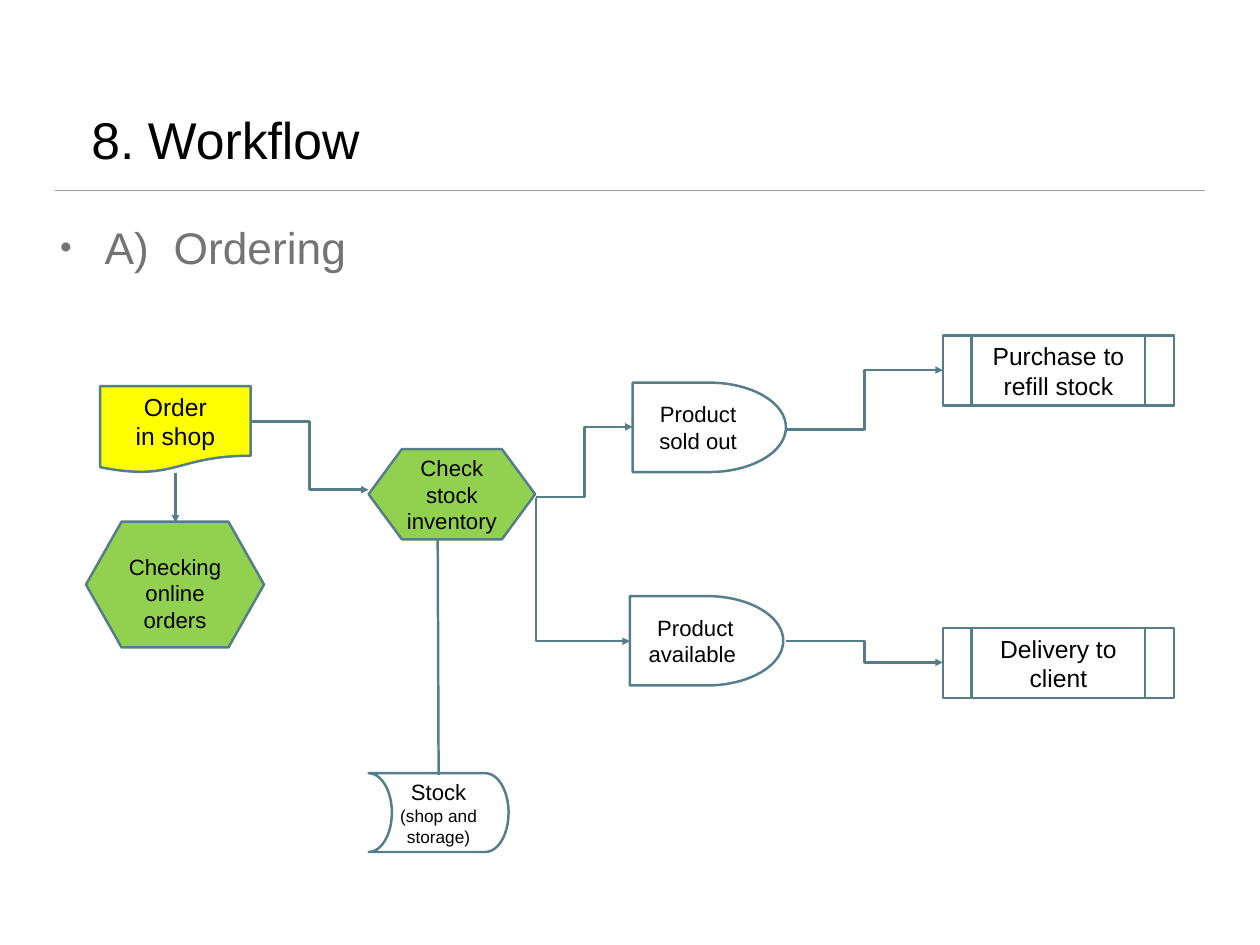
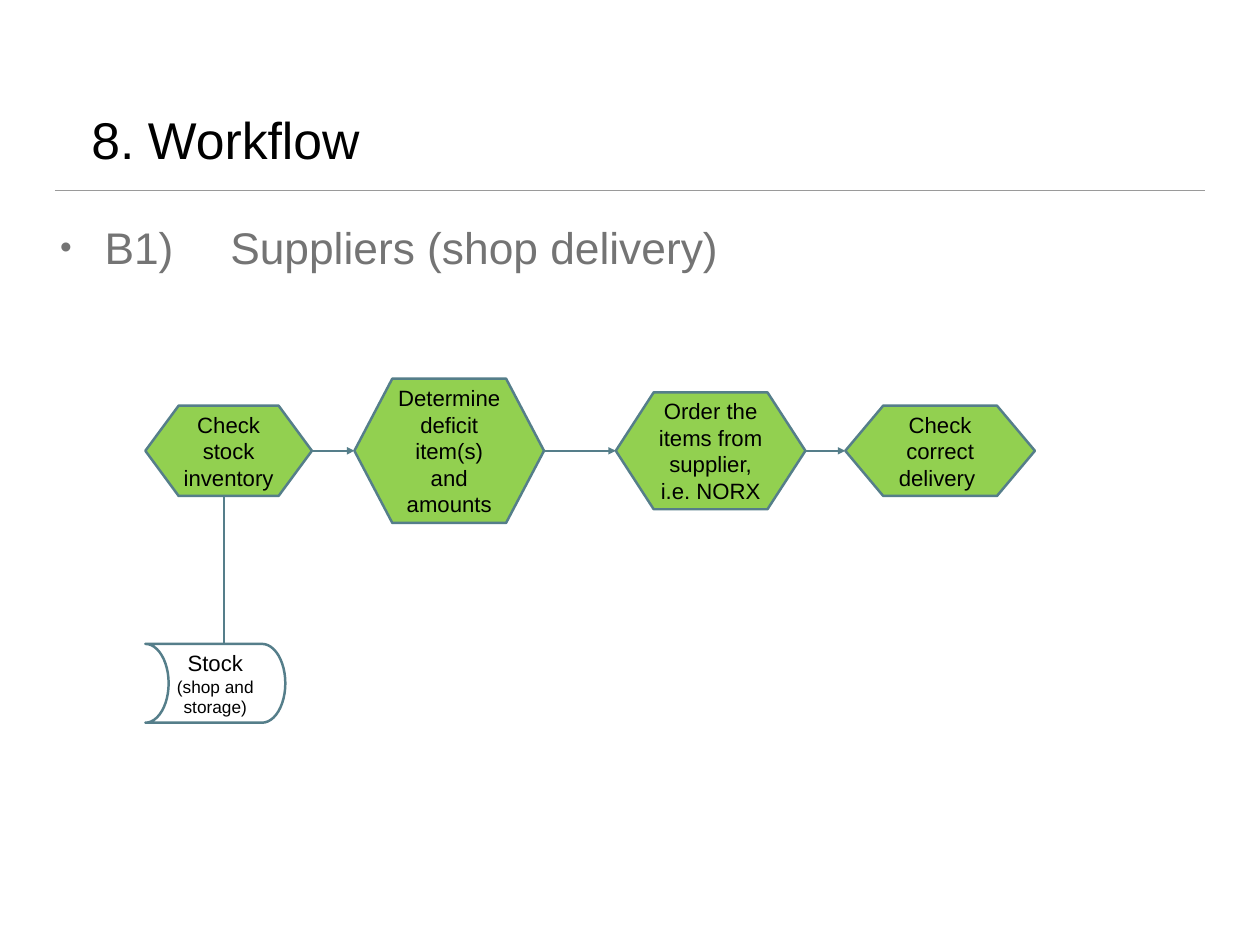
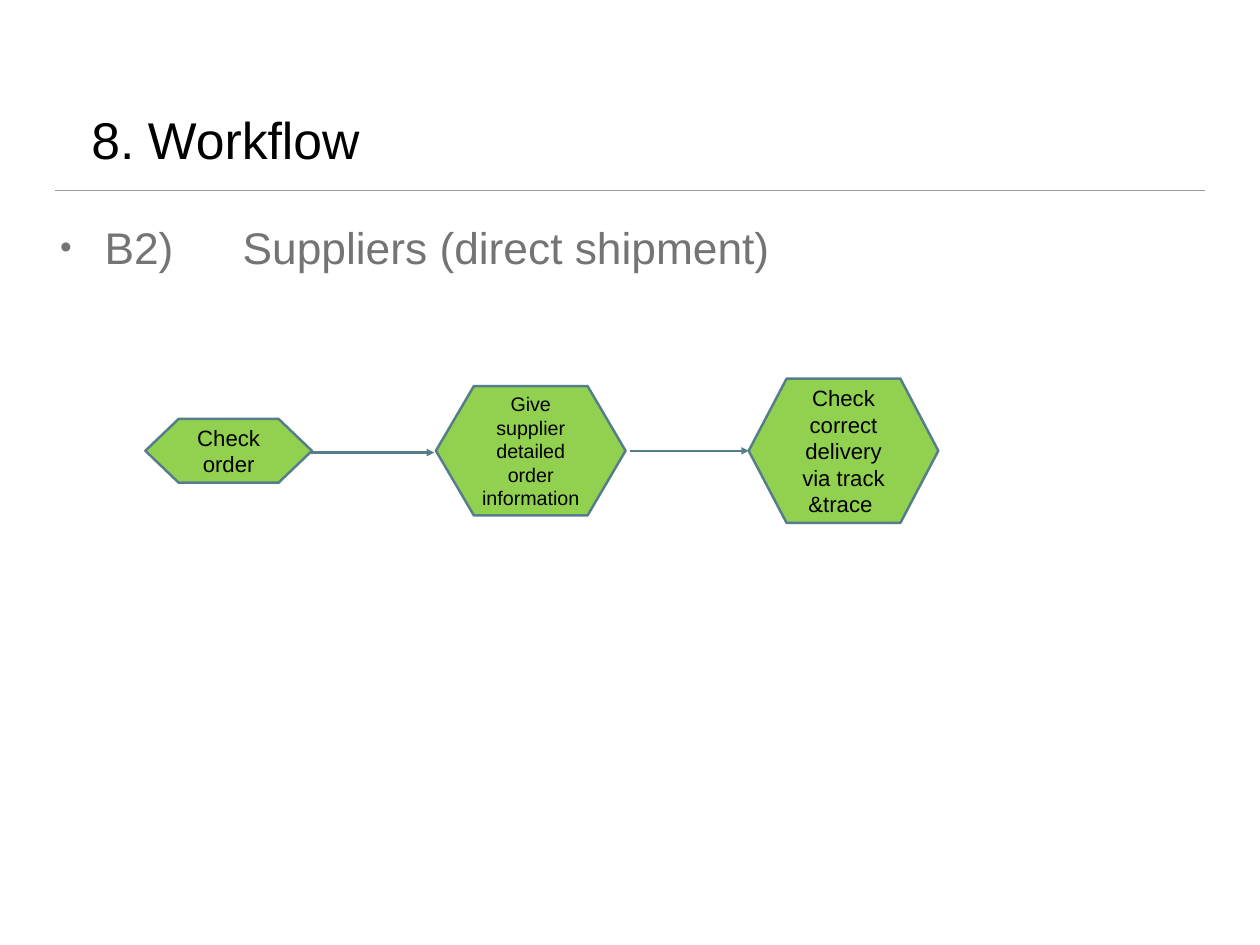
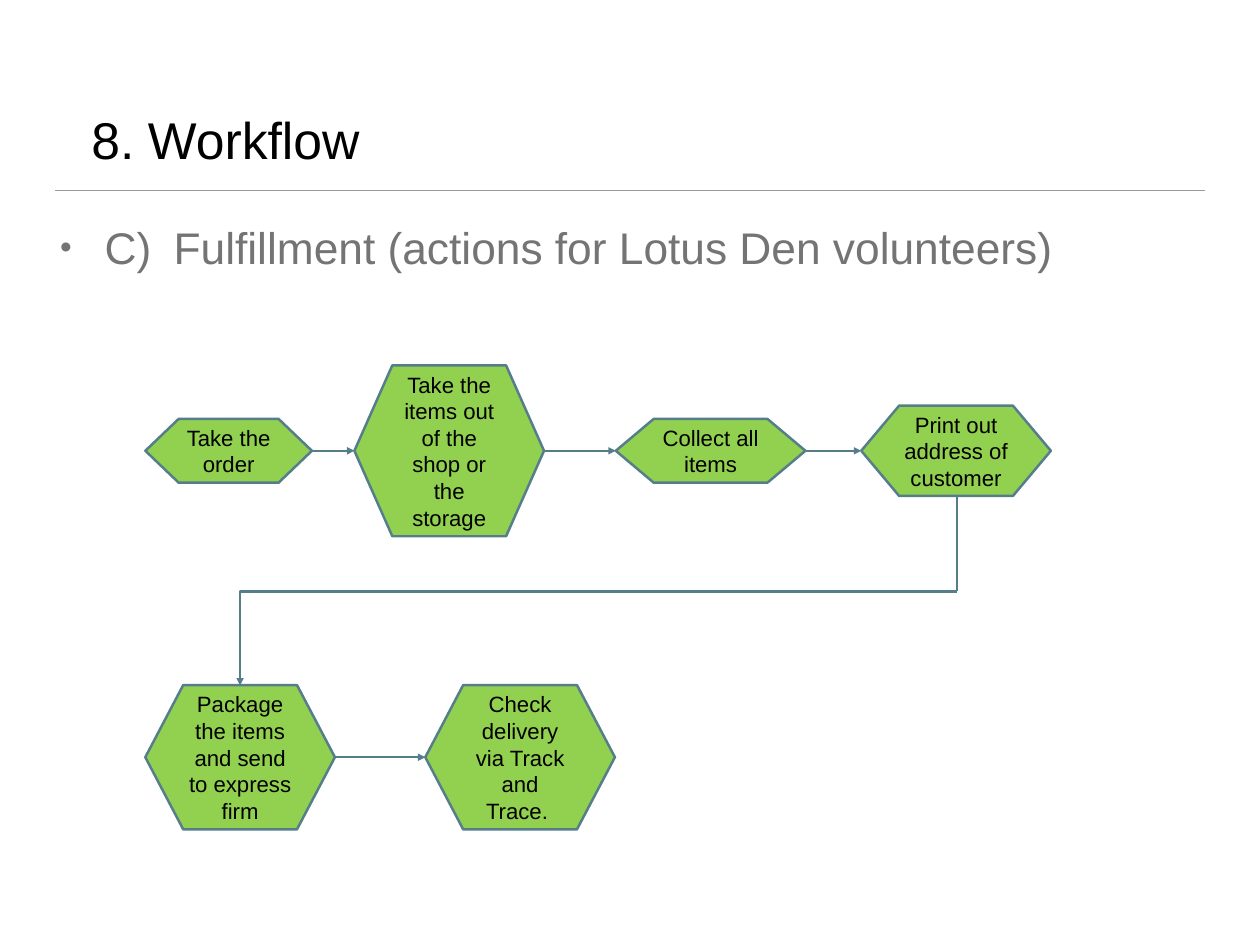
from lxml.etree import SubElement
from pptx import Presentation
from pptx.dml.color import RGBColor
from pptx.enum.shapes import MSO_CONNECTOR, MSO_SHAPE
from pptx.enum.text import MSO_ANCHOR, MSO_AUTO_SIZE, PP_ALIGN
from pptx.oxml.ns import qn
from pptx.util import Inches, Pt

COLORS = {
    "text": "000000", "subtitle": "747474", "rule": "9A9A9A", "outline": "557E8A",
    "action": "92D050", "order": "FFFF00", "plain": "FFFFFF",
}
FONT = "Arial"
INSET = 0.06
TIGHT = 0.04
TAB = 0.64
ROW = 5.09


def color(name):
    """Return the palette colour with this name."""
    return RGBColor.from_string(COLORS[name])


def write(frame, text, size=18, later_size=None, color_name="text",
          align=PP_ALIGN.CENTER, anchor=MSO_ANCHOR.MIDDLE,
          top_inset=INSET, side_inset=INSET):
    """Fill a text frame, one paragraph per line; later lines may have their own size."""
    frame.word_wrap = True
    frame.auto_size = MSO_AUTO_SIZE.NONE
    frame.vertical_anchor = anchor
    frame.margin_left = frame.margin_right = Inches(side_inset)
    frame.margin_top = Inches(top_inset)
    frame.margin_bottom = Inches(INSET)
    for index, line in enumerate(text.split("\n")):
        paragraph = frame.add_paragraph() if index else frame.paragraphs[0]
        paragraph.alignment = align
        run = paragraph.add_run()
        run.text = line
        run.font.name = FONT
        run.font.size = Pt(later_size if index and later_size else size)
        run.font.color.rgb = color(color_name)


def add_tab(paragraph, position):
    """Give a paragraph one left tab stop."""
    tabs = SubElement(paragraph._p.get_or_add_pPr(), qn("a:tabLst"))
    SubElement(tabs, qn("a:tab"), pos=str(Inches(position)), algn="l")


def add_bullet(paragraph, indent):
    """Give a paragraph a hanging bullet."""
    properties = paragraph._p.get_or_add_pPr()
    properties.set("marL", str(Inches(indent)))
    properties.set("indent", str(-Inches(indent)))
    SubElement(properties, qn("a:buSzPct"), val="75000")
    SubElement(properties, qn("a:buFont"), typeface=FONT)
    SubElement(properties, qn("a:buChar"), char="\u2022")


class Deck:
    """Holds the presentation, its style and the current slide."""

    def __init__(self):
        """Start an empty presentation."""
        self.presentation = Presentation()
        self.presentation.slide_width = Inches(14.22)
        self.presentation.slide_height = Inches(10.67)
        self.slide = None

    def start_slide(self, subtitle, tab_count):
        """Add a slide with the common title, the rule and a bulleted subtitle."""
        self.slide = self.presentation.slides.add_slide(self.presentation.slide_layouts[5])
        self.line((0.62, 2.15), (13.6, 2.15), color_name="rule", width=1, arrow=None)
        title = self.slide.shapes.title
        title.left, title.top = Inches(0.97), Inches(0.45)
        title.width, title.height = Inches(12.97), Inches(1.53)
        write(title.text_frame, "8.\tWorkflow", size=42,
              align=PP_ALIGN.LEFT, anchor=MSO_ANCHOR.BOTTOM)
        add_tab(title.text_frame.paragraphs[0], TAB)
        box = self.slide.shapes.add_textbox(Inches(0.62), Inches(2.43), Inches(12.97), Inches(0.8))
        write(box.text_frame, subtitle, size=36, color_name="subtitle",
              align=PP_ALIGN.LEFT, anchor=MSO_ANCHOR.TOP)
        paragraph = box.text_frame.paragraphs[0]
        add_bullet(paragraph, 0.5)
        add_tab(paragraph, tab_count * TAB)

    def node(self, kind, text, left, top, width, height, fill="plain", **text_format):
        """Add an outlined flowchart shape with text."""
        shape = self.slide.shapes.add_shape(
            kind, Inches(left), Inches(top), Inches(width), Inches(height))
        shape.shadow.inherit = False
        shape.fill.solid()
        shape.fill.fore_color.rgb = color(fill)
        shape.line.color.rgb = color("outline")
        shape.line.width = Pt(2)
        write(shape.text_frame, text, **text_format)
        return shape

    def action(self, text, left, width, height, middle=ROW, **text_format):
        """Add a green hexagon centred on a row."""
        self.node(MSO_SHAPE.FLOWCHART_PREPARATION, text, left, middle - height / 2,
                  width, height, fill="action", **text_format)

    def check_stock(self, left, middle=ROW):
        """Add the step that checks the inventory."""
        self.action("Check stock inventory", left, 1.88, 1.02, middle=middle, side_inset=TIGHT)

    def stock(self, left, top):
        """Add the stock store, with its hollow side to the left."""
        store = self.node(MSO_SHAPE.FLOWCHART_STORED_DATA, "Stock\n(shop and storage)",
                          left, top, 1.58, 0.89, later_size=14)
        store._element.spPr.find(qn("a:xfrm")).set("flipH", "1")

    def line(self, start, end, kind=MSO_CONNECTOR.STRAIGHT, corner=False,
             color_name="outline", width=2, arrow="tailEnd"):
        """Add a connector; a corner one bends once, horizontal part first."""
        connector = self.slide.shapes.add_connector(
            kind, *(Inches(value) for value in (*start, *end)))
        connector.line.color.rgb = color(color_name)
        connector.line.width = Pt(width)
        properties = connector._element.spPr
        if corner:
            properties.find(qn("a:prstGeom")).set("prst", "bentConnector2")
        if arrow:
            SubElement(properties.find(qn("a:ln")), qn("a:" + arrow), type="triangle")
        SubElement(properties, qn("a:effectLst"))

    def elbow(self, start, end, **line_format):
        """Add a right-angled connector."""
        self.line(start, end, kind=MSO_CONNECTOR.ELBOW, **line_format)


def build_ordering(deck):
    """Slide A: from an order to delivery or refill."""
    deck.start_slide("A)\tOrdering", 2)
    deck.node(MSO_SHAPE.FLOWCHART_DOCUMENT, "Order\nin shop", 1.13, 4.36, 1.7, 0.98,
              fill="order", size=20)
    deck.action("Checking online orders", 0.97, 2.01, 1.42, middle=6.6, top_inset=0.25)
    deck.check_stock(4.16, middle=5.58)
    deck.stock(4.16, 8.73)
    for text, left, top in (("Product sold out", 7.14, 4.32), ("Product available ", 7.11, 6.73)):
        deck.node(MSO_SHAPE.FLOWCHART_DELAY, text, left, top, 1.73, 1.01)
    for text, top in (("Purchase to refill stock", 3.79), ("Delivery to client", 7.09)):
        deck.node(MSO_SHAPE.FLOWCHART_PREDEFINED_PROCESS, text, 10.64, top, 2.61, 0.79, size=20)
    deck.line((1.98, 5.34), (1.98, 5.9))
    deck.line((4.94, 6.09), (4.95, 8.75), arrow=None)
    deck.elbow((2.83, 4.76), (4.16, 5.53))
    deck.elbow((6.05, 5.61), (7.14, 4.82))
    deck.elbow((7.11, 7.24), (6.05, 5.62), corner=True, arrow="headEnd")
    deck.elbow((8.87, 4.85), (10.64, 4.18))
    deck.elbow((8.87, 7.24), (10.64, 7.48))


def build_shop_delivery(deck):
    """Slide B1: suppliers deliver to the shop."""
    deck.start_slide("B1)\tSuppliers (shop delivery)", 3)
    deck.check_stock(1.64)
    deck.stock(1.64, 7.27)
    deck.action("Determine deficit item(s) and amounts", 4, 2.14, 1.63)
    deck.action("Order the items from supplier, i.e. NORX", 6.95, 2.14, 1.32, side_inset=TIGHT)
    deck.action("Check correct delivery ", 9.54, 2.14, 1.02)
    for start, end in ((3.52, 4), (6.14, 6.95), (9.09, 9.54)):
        deck.line((start, ROW), (end, ROW))
    deck.line((2.53, 5.6), (2.53, 7.27), arrow=None)


def build_direct_shipment(deck):
    """Slide B2: suppliers ship to the client."""
    deck.start_slide("B2)\t Suppliers (direct shipment)", 3)
    deck.action("Check order", 1.64, 1.88, 0.72)
    deck.action("Give supplier detailed order information", 4.92, 2.14, 1.46, size=16)
    deck.action("Check correct delivery via track &trace ", 8.45, 2.14, 1.63)
    deck.line((3.51, 5.11), (4.9, 5.11))
    deck.line((7.11, ROW), (8.45, ROW))


def build_fulfillment(deck):
    """Slide C: what the volunteers do."""
    second_row = 8.55
    deck.start_slide("C)\tFulfillment (actions for Lotus Den volunteers)", 2)
    deck.action("Take the order", 1.64, 1.88, 0.72)
    deck.action("Take the items out of the shop or the storage", 4, 2.14, 1.93)
    deck.action("Collect all items", 6.95, 2.14, 0.72)
    deck.action("Print out address of customer", 9.72, 2.14, 1.02, side_inset=TIGHT)
    deck.action("Package the items and send to express firm", 1.64, 2.14, 1.63, middle=second_row)
    deck.action("Check delivery via Track and Trace. ", 4.8, 2.14, 1.63, middle=second_row)
    for start, end in ((3.52, 4), (6.14, 6.95), (9.09, 9.72)):
        deck.line((start, ROW), (end, ROW))
    deck.elbow((10.8, 6.68), (2.71, 7.74), corner=True)
    deck.line((10.8, 6.67), (10.8, 5.59), arrow=None)
    deck.line((3.78, second_row), (4.8, second_row))


def main():
    """Build the four slides and save them."""
    deck = Deck()
    for build in (build_ordering, build_shop_delivery, build_direct_shipment, build_fulfillment):
        build(deck)
    deck.presentation.save("out.pptx")


main()
